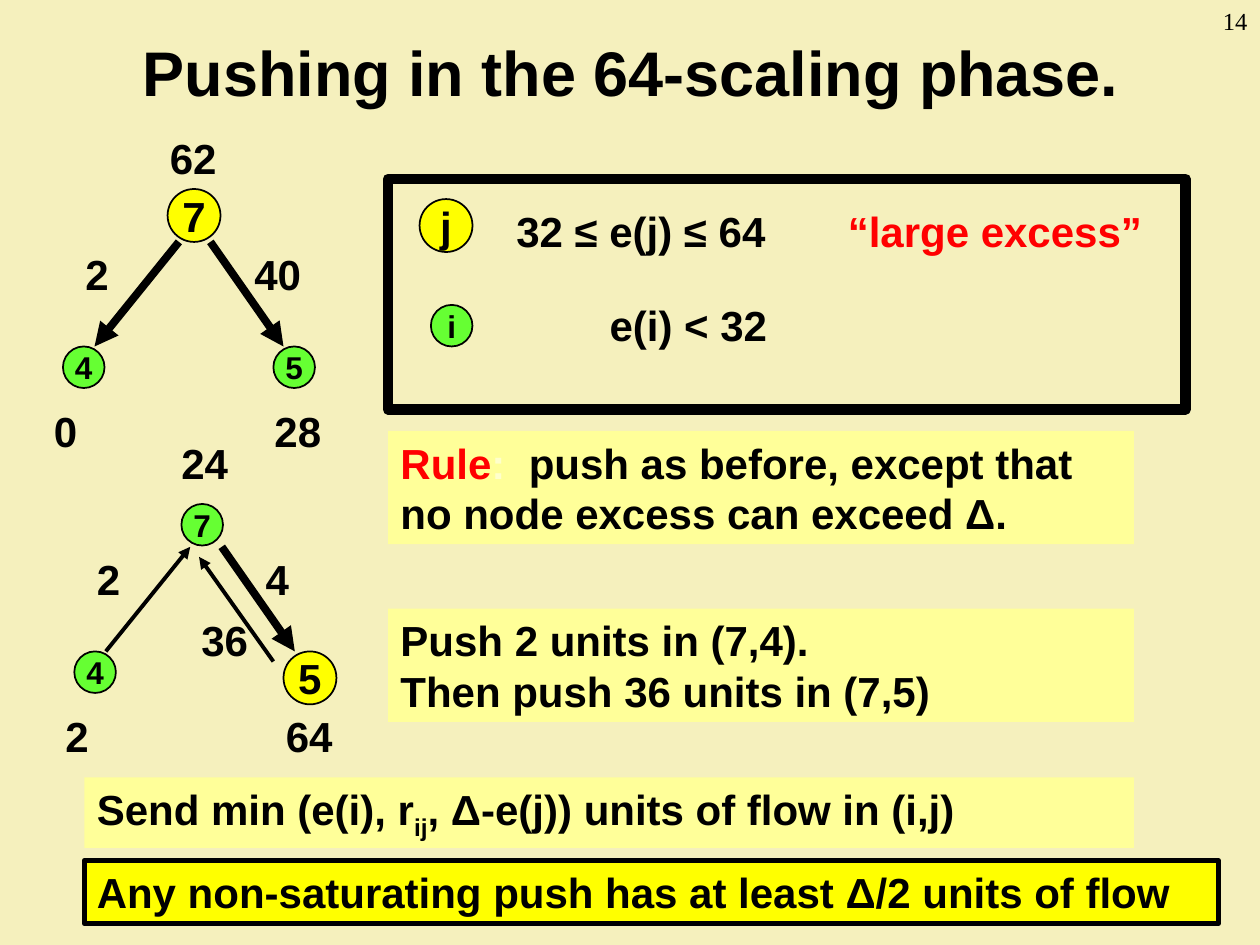
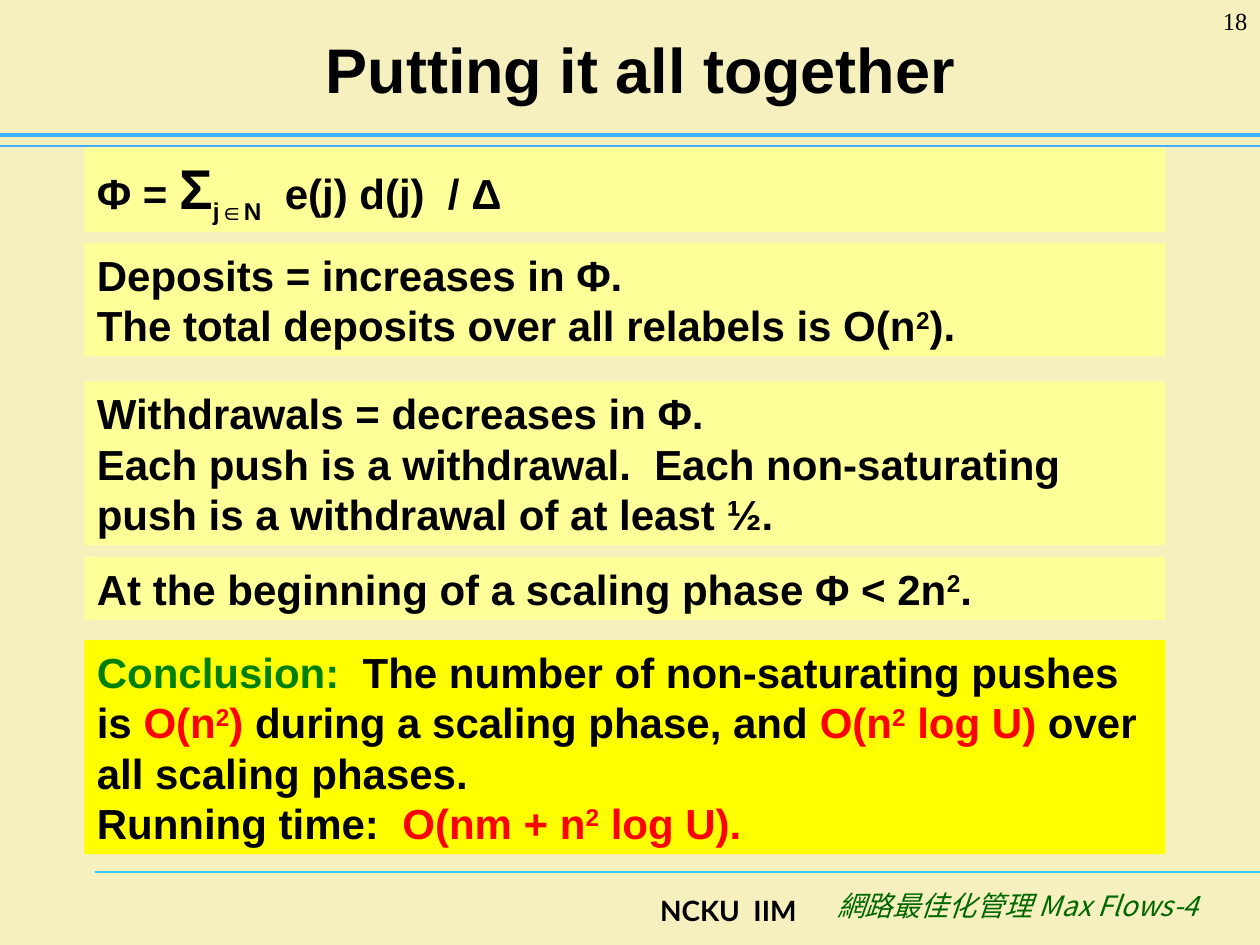
from dataclasses import dataclass
from typing import NamedTuple, Optional

from lxml import etree
from pptx import Presentation
from pptx.dml.color import RGBColor
from pptx.enum.shapes import MSO_CONNECTOR, MSO_SHAPE
from pptx.enum.text import MSO_ANCHOR, MSO_AUTO_SIZE, PP_ALIGN
from pptx.oxml.ns import qn
from pptx.util import Inches, Pt

OVAL, RECTANGLE = MSO_SHAPE.OVAL, MSO_SHAPE.RECTANGLE
STRAIGHT = MSO_CONNECTOR.STRAIGHT
LEFT, CENTER, RIGHT = PP_ALIGN.LEFT, PP_ALIGN.CENTER, PP_ALIGN.RIGHT
TOP, MIDDLE = MSO_ANCHOR.TOP, MSO_ANCHOR.MIDDLE

COLORS = {
    "background": "F5F0BD",
    "ink": "000000",
    "note": "FFFF99",
    "highlight": "FFFF00",
    "small_node": "66FF33",
    "red": "FF0000",
    "green": "008000",
    "pale": "FFFFCC",
    "band": "3DB0FF",
    "footer_rule": "33CCFF",
    "course": "006600",
}
FONT, NUMBER_FONT = "Arial", "Times New Roman"
FOOTER_FONT, COURSE_FONT = "Lato", "Noto Sans CJK SC"
SUB, SUPER = -25, 30


class Run(NamedTuple):
    text: str
    color: str = "ink"
    size: float = 24
    base: int = 0
    font: str = FONT
    bold: bool = True
    italic: bool = False


class Box(NamedTuple):
    left: float
    top: float
    width: float
    height: float


Lines = list[list[Run]]


class Note(NamedTuple):
    box: Box
    lines: Lines
    fill: str = "note"
    border: float = 0


class Arrow(NamedTuple):
    start: tuple[float, float]
    end: tuple[float, float]
    width: float


class Node(NamedTuple):
    name: str
    left: float
    top: float
    large: bool = False


@dataclass
class FlowGraph:
    """A drawing whose parts are placed relative to its origin."""
    origin: tuple[float, float]
    nodes: list[Node]
    arrows: list[Arrow]
    labels: list[tuple[str, float, float]]


def rgb(name: str) -> RGBColor:
    return RGBColor.from_string(COLORS[name])


def write(frame, lines: Lines, align=LEFT, anchor=TOP, wrap: bool = True) -> None:
    frame.word_wrap = wrap
    frame.auto_size = MSO_AUTO_SIZE.NONE
    frame.vertical_anchor = anchor
    for index, line in enumerate(lines):
        paragraph = frame.paragraphs[0] if index == 0 else frame.add_paragraph()
        paragraph.alignment = align
        for part in line:
            run = paragraph.add_run()
            run.text = part.text
            run.font.name, run.font.size = part.font, Pt(part.size)
            run.font.bold, run.font.italic = part.bold, part.italic
            run.font.color.rgb = rgb(part.color)
            properties = run._r.get_or_add_rPr()
            if part.base:
                properties.set("baseline", str(part.base * 1000))
            if part.font == COURSE_FONT:
                etree.SubElement(properties, qn("a:ea")).set("typeface", part.font)


def add_text(slide, box: Box, lines: Lines, align=LEFT):
    text = slide.shapes.add_textbox(*map(Inches, box))
    write(text.text_frame, lines, align)
    return text


def add_shape(slide, kind, box: Box, fill: Optional[str], border: float = 0):
    shape = slide.shapes.add_shape(kind, *map(Inches, box))
    shape.shadow.inherit = False
    if fill:
        shape.fill.solid()
        shape.fill.fore_color.rgb = rgb(fill)
    else:
        shape.fill.background()
    if border:
        shape.line.color.rgb = rgb("ink")
        shape.line.width = Pt(border)
    else:
        shape.line.fill.background()
    return shape


def add_note(slide, note: Note) -> None:
    shape = add_shape(slide, RECTANGLE, note.box, note.fill, note.border)
    write(shape.text_frame, note.lines)


def add_line(slide, start, end, width: float, color: str = "ink", arrow: bool = False) -> None:
    line = slide.shapes.add_connector(STRAIGHT, *map(Inches, (*start, *end)))
    line.line.color.rgb = rgb(color)
    line.line.width = Pt(width)
    if arrow:
        etree.SubElement(line.line._get_or_add_ln(), qn("a:tailEnd")).set("type", "triangle")
    etree.SubElement(line._element.spPr, qn("a:effectLst"))


def add_node(slide, node: Node) -> None:
    side, size, fill = (0.42, 24, "highlight") if node.large else (0.33, 18, "small_node")
    circle = add_shape(slide, OVAL, Box(node.left, node.top, side, side), fill, 1)
    write(circle.text_frame, [[Run(node.name, size=size)]], CENTER, MIDDLE, wrap=False)


def add_graph(slide, graph: FlowGraph) -> None:
    x, y = graph.origin
    for node in graph.nodes:
        add_node(slide, node._replace(left=x + node.left, top=y + node.top))
    for arrow in graph.arrows:
        start, end = ((x + px, y + py) for px, py in (arrow.start, arrow.end))
        add_line(slide, start, end, arrow.width, arrow=True)
    for value, left, top in graph.labels:
        add_text(slide, Box(x + left, y + top, 0.75, 0.5), [[Run(value)]])


def new_slide(prs, title: str, title_box: Box, number: str):
    slide = prs.slides.add_slide(prs.slide_layouts[5])
    heading = slide.shapes.title
    heading.left, heading.top, heading.width, heading.height = map(Inches, title_box)
    write(heading.text_frame, [[Run(title, size=36)]], CENTER, MIDDLE)
    add_text(slide, Box(9.17, 0, 0.83, 0.5),
             [[Run(number, size=14, font=NUMBER_FONT, bold=False)]], RIGHT)
    return slide


def add_bands_and_footer(slide) -> None:
    add_line(slide, (0.75, 6.92), (10, 6.92), 0.75, "footer_rule")
    add_line(slide, (0, 1.16), (10, 1.16), 0.75, "band")
    add_line(slide, (0, 1.07), (10, 1.07), 2.5, "band")
    add_text(slide, Box(1.83, 7.04, 4.59, 0.46),
             [[Run("NCKU  IIM", size=16, font=FOOTER_FONT)]], RIGHT)
    add_text(slide, Box(6.42, 7, 3.19, 0.5),
             [[Run("網路最佳化管理 Max Flows-4", "course", 16, font=COURSE_FONT,
                   bold=False, italic=True)]], RIGHT)


# Graph parts that stay in place before and after the push
NODE_4 = Node("4", 0.17, 1.75)
TO_4, FROM_7_LEFT = (0.42, 1.75), (1.09, 0.92)
PUSH_7_5 = Arrow((1.34, 0.92), (1.92, 1.75), 4.5)


def graph_labels(top: str, left: str, right: str, edge_4: str, edge_5: str):
    return [(top, 0.92, 0), (left, 0, 2.17), (right, 1.75, 2.17),
            (edge_4, 0.25, 0.92), (edge_5, 1.59, 0.92)]


BEFORE_PUSH = FlowGraph(
    (0.33, 1),
    [NODE_4, Node("7", 1, 0.5, large=True), Node("5", 1.84, 1.75)],
    [Arrow(FROM_7_LEFT, TO_4, 4.5), PUSH_7_5],
    graph_labels("62", "0", "28", "2", "40"),
)
AFTER_PUSH = FlowGraph(
    (0.42, 3.42),
    [NODE_4, Node("7", 1.02, 0.58), Node("5", 1.83, 1.75, large=True)],
    [Arrow(TO_4, FROM_7_LEFT, 2.25), PUSH_7_5, Arrow((1.75, 1.83), (1.16, 1), 2.25)],
    graph_labels("24", "2", "64", "2", "4") + [("36", 1.08, 1.41)],
)

PUSH_NOTES = [
    Note(Box(3.08, 3.42, 5.92, 0.9), [[
        Run("Rule", "red"), Run(":  ", "pale"),
        Run("push as before, except that no node excess can exceed Δ.")]]),
    Note(Box(3.08, 4.83, 5.92, 0.9),
         [[Run("Push 2 units in (7,4).")], [Run("Then push 36 units in (7,5)")]]),
    Note(Box(0.67, 6.17, 8.33, 0.56), [[
        Run("Send min (e(i), r"), Run("ij", base=SUB),
        Run(", Δ-e(j)) units of flow in (i,j)")]]),
    Note(Box(0.67, 6.83, 9, 0.5),
         [[Run("Any non-saturating push has at least Δ/2 units of flow")]], "highlight", 3),
]


def proof_box(top: float, height: float) -> Box:
    return Box(0.67, top, 8.58, height)


def squared(before: str, after: str, color: str = "ink") -> list[Run]:
    return [Run(before, color), Run("2", color, base=SUPER), Run(after, color)]


PROOF_NOTES = [
    Note(proof_box(1.17, 0.67), [[
        Run("Φ = "), Run("Σ", size=32), Run("j∈N", base=SUB), Run("  e(j) d(j)  / Δ")]]),
    Note(proof_box(1.93, 0.9), [
        [Run("Deposits = increases in Φ.")],
        squared("The total deposits over all relabels is O(n", ").")]),
    Note(proof_box(3.03, 1.3), [
        [Run("Withdrawals = decreases in Φ.")],
        [Run("Each push is a withdrawal.  Each non-saturating push is a "
             "withdrawal of at least ½.")]]),
    Note(proof_box(4.42, 0.5),
         [squared("At the beginning of a scaling phase Φ < 2n", ".")]),
    Note(proof_box(5.08, 1.7), [
        [Run("Conclusion:", "green"), Run("  The number of non-saturating pushes is "),
         *squared("O(n", ")", "red"), Run(" during a scaling phase, and "),
         *squared("O(n", " log U)", "red"), Run(" over all scaling phases.")],
        [Run("Running time:  "), *squared("O(nm + n", " log U).", "red")]], "highlight"),
]


def add_excess_legend(slide) -> None:
    add_shape(slide, RECTANGLE, Box(3.08, 1.42, 6.33, 1.83), None, 6)
    add_node(slide, Node("j", 3.33, 1.58, large=True))
    add_node(slide, Node("i", 3.42, 2.42))
    add_text(slide, Box(4, 1.58, 2.5, 0.5), [[Run("32 ≤ e(j) ≤ 64")]])
    add_text(slide, Box(6.63, 1.58, 2.62, 0.5), [[Run("“large excess”", "red")]])
    add_text(slide, Box(4.74, 2.33, 1.84, 0.5), [[Run("e(i) < 32")]])


def build_pushing(prs) -> None:
    slide = new_slide(prs, "Pushing in the 64-scaling phase.", Box(0.51, 0.13, 9, 0.87), "14")
    for graph in (BEFORE_PUSH, AFTER_PUSH):
        add_graph(slide, graph)
    add_excess_legend(slide)
    for note in PUSH_NOTES:
        add_note(slide, note)


def build_conclusion(prs) -> None:
    slide = new_slide(prs, "Putting it all together", Box(0.42, 0.33, 9.33, 0.42), "18")
    add_bands_and_footer(slide)
    for note in PROOF_NOTES:
        add_note(slide, note)


def main() -> None:
    prs = Presentation()
    prs.slide_width, prs.slide_height = Inches(10), Inches(7.5)
    backdrop = prs.slide_master.background.fill
    backdrop.solid()
    backdrop.fore_color.rgb = rgb("background")
    build_pushing(prs)
    build_conclusion(prs)
    prs.save("out.pptx")


if __name__ == "__main__":
    main()
